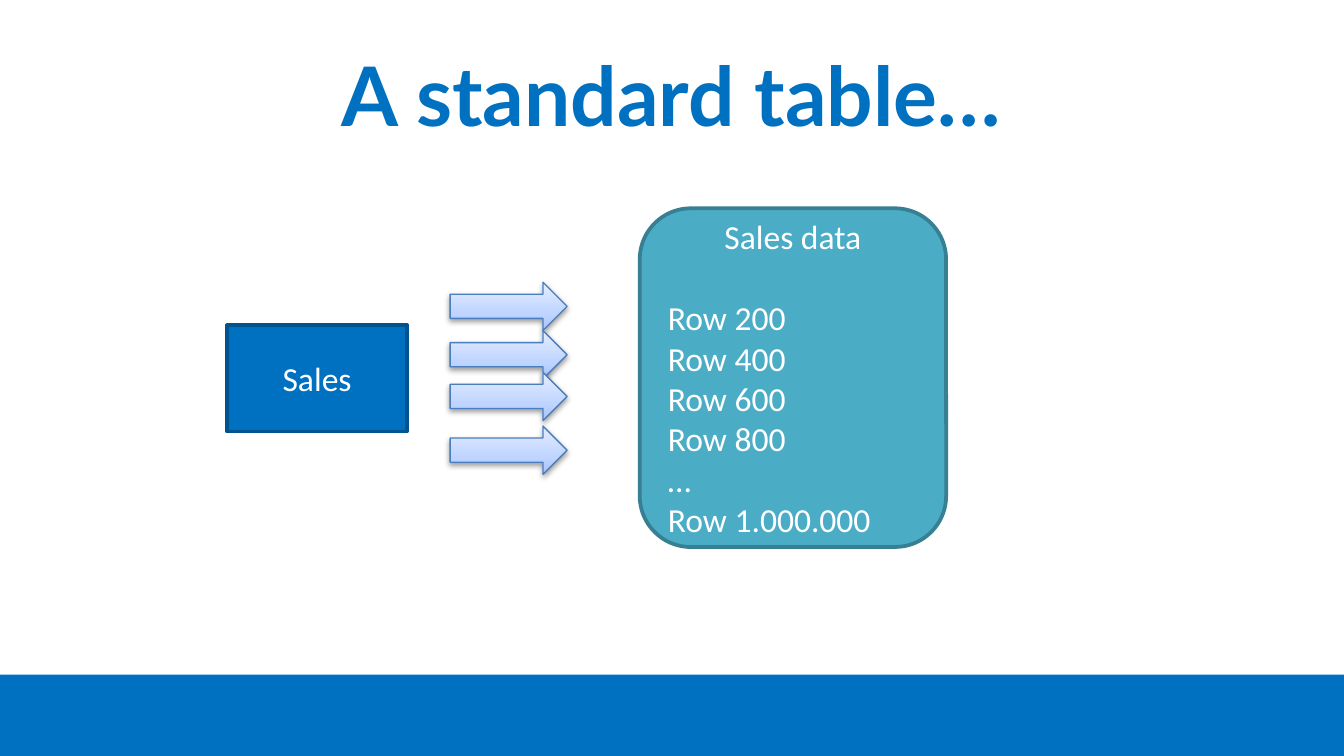
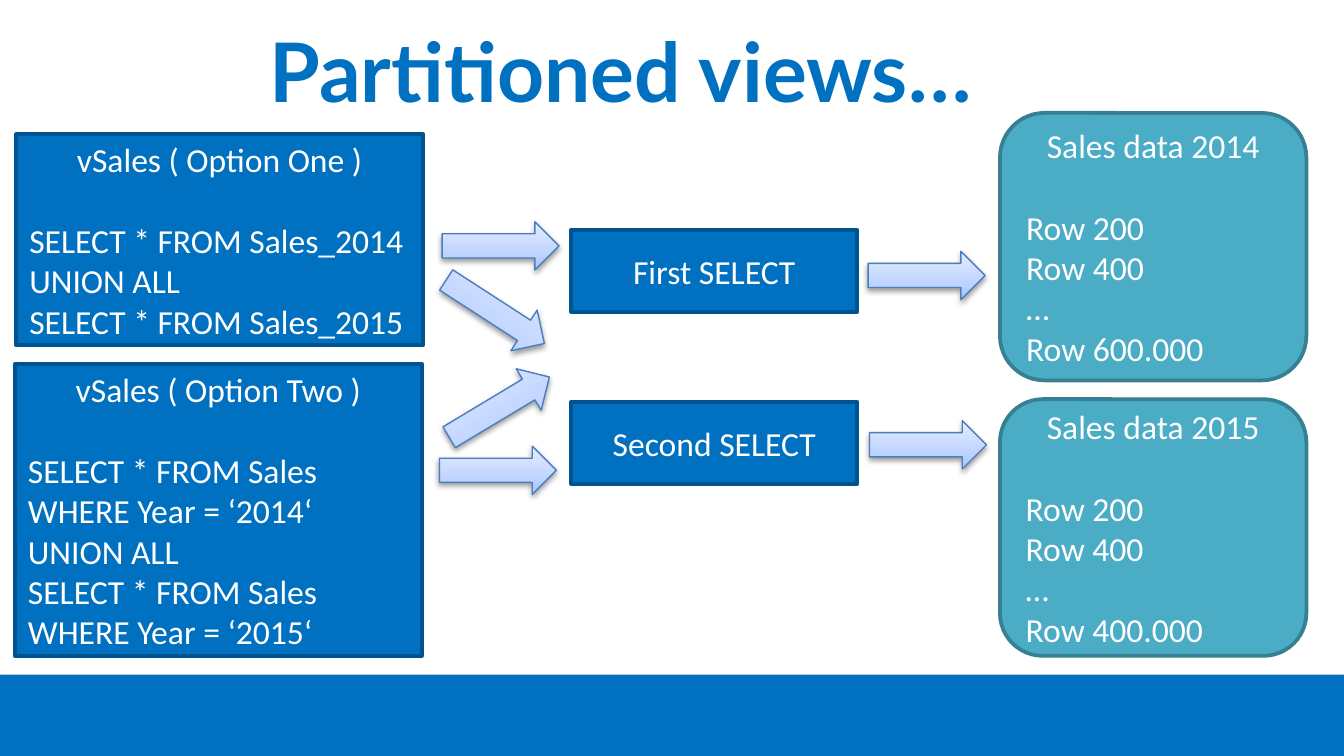
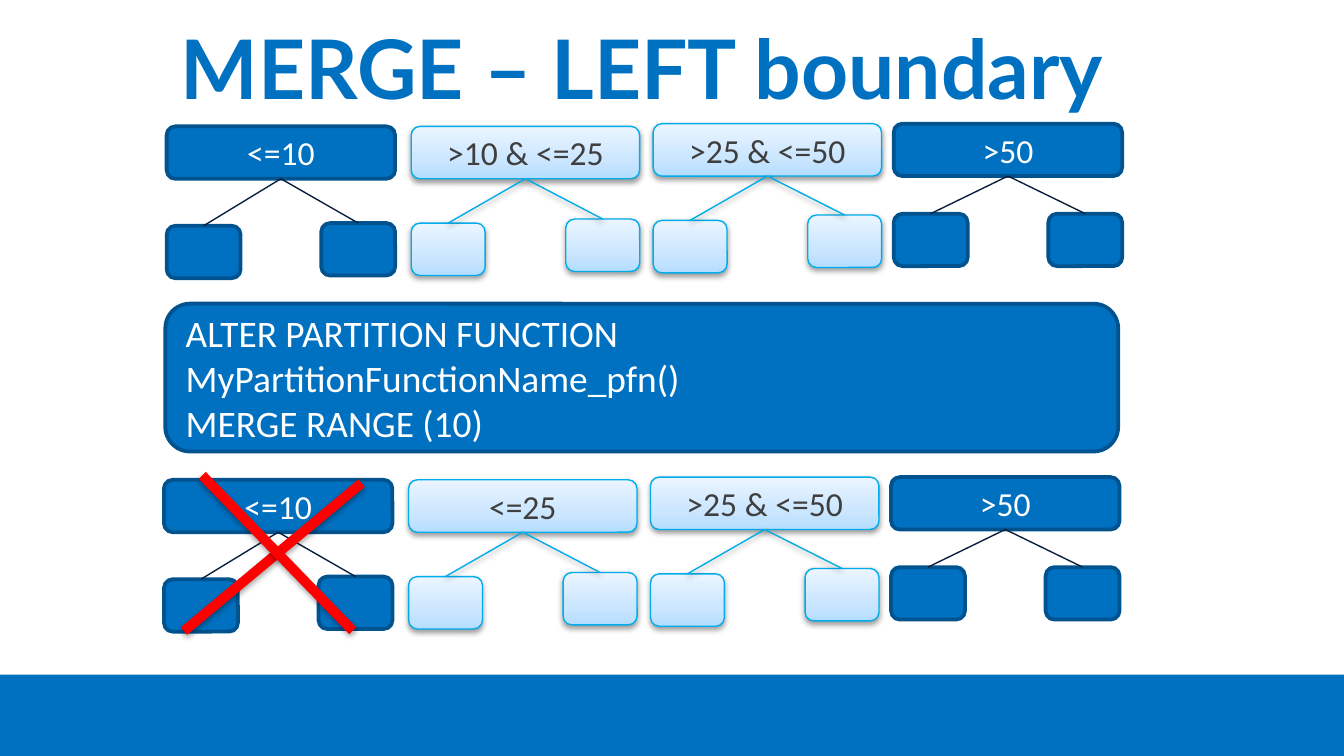
from lxml import etree
from pptx import Presentation
from pptx.dml.color import RGBColor
from pptx.enum.shapes import MSO_CONNECTOR as CONN, MSO_SHAPE as SHAPE
from pptx.enum.text import MSO_ANCHOR as ANCHOR, PP_ALIGN as ALIGN
from pptx.oxml.ns import qn
from pptx.util import Inches, Pt

COLORS = {
    "blue": "0070C0", "blue_edge": "00538E", "teal": "4BACC6",
    "teal_edge": "377F92", "arrow_edge": "4B7EBC", "sky_edge": "00ACEB",
    "navy": "0A1F3D", "white": "FFFFFF", "gray": "3F3F3F",
    "red": "FF0000", "black": "000000",
    "arrow_low": "A4C4FF", "arrow_mid": "BFD4FF", "arrow_high": "E6EEFF",
    "sky_low": "B5DDFF", "sky_mid": "CBE6FF", "sky_high": "EBF5FF",
}
STYLES = {
    "band": dict(fill="blue"),
    "blue": dict(fill="blue", edge="blue_edge", link="navy"),
    "teal": dict(fill="teal", edge="teal_edge"),
    "arrow": dict(grad="arrow", edge="arrow_edge", weight=0.75, shadow=38),
    "sky": dict(grad="sky", edge="sky_edge", weight=0.75, shadow=38,
                text="gray", link="sky_edge"),
    "cross": dict(fill="red", shadow=35),
}
GRAD_STOPS = (("low", 0), ("mid", 35), ("high", 100))
HEADING_GAP = 22
ARROW_W, ARROW_H = 0.87, 0.36
NODE_W, NODE_H, LEAF_W = 1.7, 0.39, 0.55


def rgb(name):
    return RGBColor.from_string(COLORS[name])


def add_color(parent, name):
    return etree.SubElement(parent, qn("a:srgbClr"), val=COLORS[name])


def set_effects(s, alpha=None):
    effects = etree.SubElement(s.element.spPr, qn("a:effectLst"))
    if alpha:
        shadow = etree.SubElement(
            effects, qn("a:outerShdw"), blurRad=str(Pt(3.1)),
            dist=str(Pt(1.6)), dir="5400000", rotWithShape="0")
        clr = add_color(shadow, "black")
        etree.SubElement(clr, qn("a:alpha"), val=str(alpha * 1000))


def set_gradient(s, prefix):
    s.fill.gradient()
    s.fill.gradient_angle = 90
    stops = s.element.spPr.find(".//" + qn("a:gsLst"))
    stops.clear()
    for tone, pos in GRAD_STOPS:
        stop = etree.SubElement(stops, qn("a:gs"), pos=str(pos * 1000))
        add_color(stop, f"{prefix}_{tone}")


def write_text(s, text, size=18, color="white", font="Calibri", bold=False,
               align=ALIGN.CENTER, heading=False):
    tf = s.text_frame
    tf.word_wrap = True
    tf.vertical_anchor = ANCHOR.MIDDLE
    for i, line in enumerate(text.split("\n")):
        p = tf.add_paragraph() if i else tf.paragraphs[0]
        p.alignment = ALIGN.LEFT if heading and i else align
        if heading and i == 0:
            p.space_after = Pt(HEADING_GAP)
        r = p.add_run()
        r.text = line
        r.font.size = Pt(size)
        r.font.name = font
        r.font.bold = bold
        r.font.color.rgb = rgb(color)


def add_box(slide, kind, style, box, text=None, rotation=0, **fmt):
    look = STYLES[style]
    s = slide.shapes.add_shape(kind, *map(Inches, box))
    s.rotation = rotation
    if "grad" in look:
        set_gradient(s, look["grad"])
    else:
        s.fill.solid()
        s.fill.fore_color.rgb = rgb(look["fill"])
    if "edge" in look:
        s.line.color.rgb = rgb(look["edge"])
        s.line.width = Pt(look.get("weight", 2))
    else:
        s.line.fill.background()
    set_effects(s, look.get("shadow"))
    if text:
        write_text(s, text, color=look.get("text", "white"), **fmt)
    return s


def add_arrow(slide, x, y, rotation=0):
    add_box(slide, SHAPE.RIGHT_ARROW, "arrow", (x, y, ARROW_W, ARROW_H),
            rotation=rotation)


def add_data(slide, box, text):
    add_box(slide, SHAPE.ROUNDED_RECTANGLE, "teal", box, text, heading=True)


def add_link(slide, node, leaf, look):
    c = slide.shapes.add_connector(CONN.STRAIGHT, 0, 0, 0, 0)
    c.begin_connect(node, 2)
    c.end_connect(leaf, 0)
    c.line.color.rgb = rgb(look["link"])
    c.line.width = Pt(0.75)
    set_effects(c, look.get("shadow"))


def add_tree(slide, x, y, label, style, drops):
    kind = SHAPE.ROUNDED_RECTANGLE
    node = add_box(slide, kind, style, (x, y, NODE_W, NODE_H), label)
    for dx, drop in zip((0, NODE_W - LEAF_W), drops):
        leaf = add_box(slide, kind, style, (x + dx, y + drop, LEAF_W, NODE_H))
        add_link(slide, node, leaf, STYLES[style])


def add_tree_row(slide, x, y, labels):
    trees = (
        (0, 0.02, "blue", (0.74, 0.72)),
        (1.82, 0.02, "sky", (0.72, 0.69)),
        (3.62, 0, "sky", (0.72, 0.68)),
        (5.41, 0, "blue", (0.67, 0.67)),
    )
    for label, (dx, dy, style, drops) in zip(labels, trees):
        add_tree(slide, x + dx, y + dy, label, style, drops)


def add_slide(prs, title, x, y, h=0.94):
    slide = prs.slides.add_slide(prs.slide_layouts[6])
    add_box(slide, SHAPE.RECTANGLE, "band", (0, 5.02, 10, 0.61))
    s = slide.shapes.add_textbox(*map(Inches, (x, y, 9, h)))
    write_text(s, title, size=44, color="blue", font="Lato", bold=True)
    return slide


def standard_table(prs):
    slide = add_slide(prs, "A standard table…", 0.5, 0.23)
    add_box(slide, SHAPE.RECTANGLE, "blue", (1.69, 2.42, 1.34, 0.79), "Sales")
    add_data(slide, (4.76, 1.55, 2.28, 2.52),
             "Sales data\nRow 200\nRow 400\nRow 600\nRow 800\n…\nRow 1.000.000")
    for y in (2.1, 2.46, 2.77, 3.17):
        add_arrow(slide, 3.35, y)


def partitioned_views(prs):
    slide = add_slide(prs, "Partitioned views…", 0.12, 0.05)
    views = (
        ((0.12, 1, 3.03, 1.57),
         "vSales ( Option One )\nSELECT * FROM Sales_2014\nUNION ALL\n"
         "SELECT * FROM Sales_2015"),
        ((0.11, 2.71, 3.03, 2.17),
         "vSales ( Option Two )\nSELECT * FROM Sales WHERE Year = ‘2014‘\n"
         "UNION ALL\nSELECT * FROM Sales\nWHERE Year = ‘2015‘"),
    )
    for box, text in views:
        add_box(slide, SHAPE.RECTANGLE, "blue", box, text, heading=True)
    for y, text in ((1.71, "First SELECT"), (2.99, "Second SELECT")):
        add_box(slide, SHAPE.RECTANGLE, "blue", (4.25, y, 2.13, 0.61), text)
    for y, h, year, last in ((0.84, 1.99, 2014, 600), (2.97, 1.91, 2015, 400)):
        add_data(slide, (7.44, y, 2.28, h),
                 f"Sales data {year}\nRow 200\nRow 400\n…\nRow {last}.000")
    for x, y, rotation in ((3.29, 1.65, 0), (3.25, 2.14, 32.9),
                           (6.46, 1.87, 0), (6.47, 3.13, 0),
                           (3.27, 3.32, 0), (3.28, 2.85, 329)):
        add_arrow(slide, x, y, rotation)


def merge_left(prs):
    slide = add_slide(prs, "MERGE – LEFT boundary", 0.28, 0.07, 0.85)
    add_box(slide, SHAPE.ROUNDED_RECTANGLE, "blue", (1.23, 2.26, 7.09, 1.1),
            "ALTER PARTITION FUNCTION\nMyPartitionFunctionName_pfn()\n"
            "MERGE RANGE (10)", size=20, align=ALIGN.LEFT)
    add_tree_row(slide, 1.24, 0.92, ("<=10", ">10 & <=25", ">25 & <=50", ">50"))
    add_tree_row(slide, 1.22, 3.55, ("<=10", "<=25", ">25 & <=50", ">50"))
    for box, rotation in (((0.86, 3.99, 2.34, 0.31), 320.2),
                          ((0.97, 3.96, 2.19, 0.31), 225.9)):
        add_box(slide, SHAPE.MATH_MINUS, "cross", box, rotation=rotation)


def main():
    prs = Presentation()
    prs.slide_width = Inches(10)
    prs.slide_height = prs.slide_width * 9 // 16
    standard_table(prs)
    partitioned_views(prs)
    merge_left(prs)
    prs.save("out.pptx")


if __name__ == "__main__":
    main()
